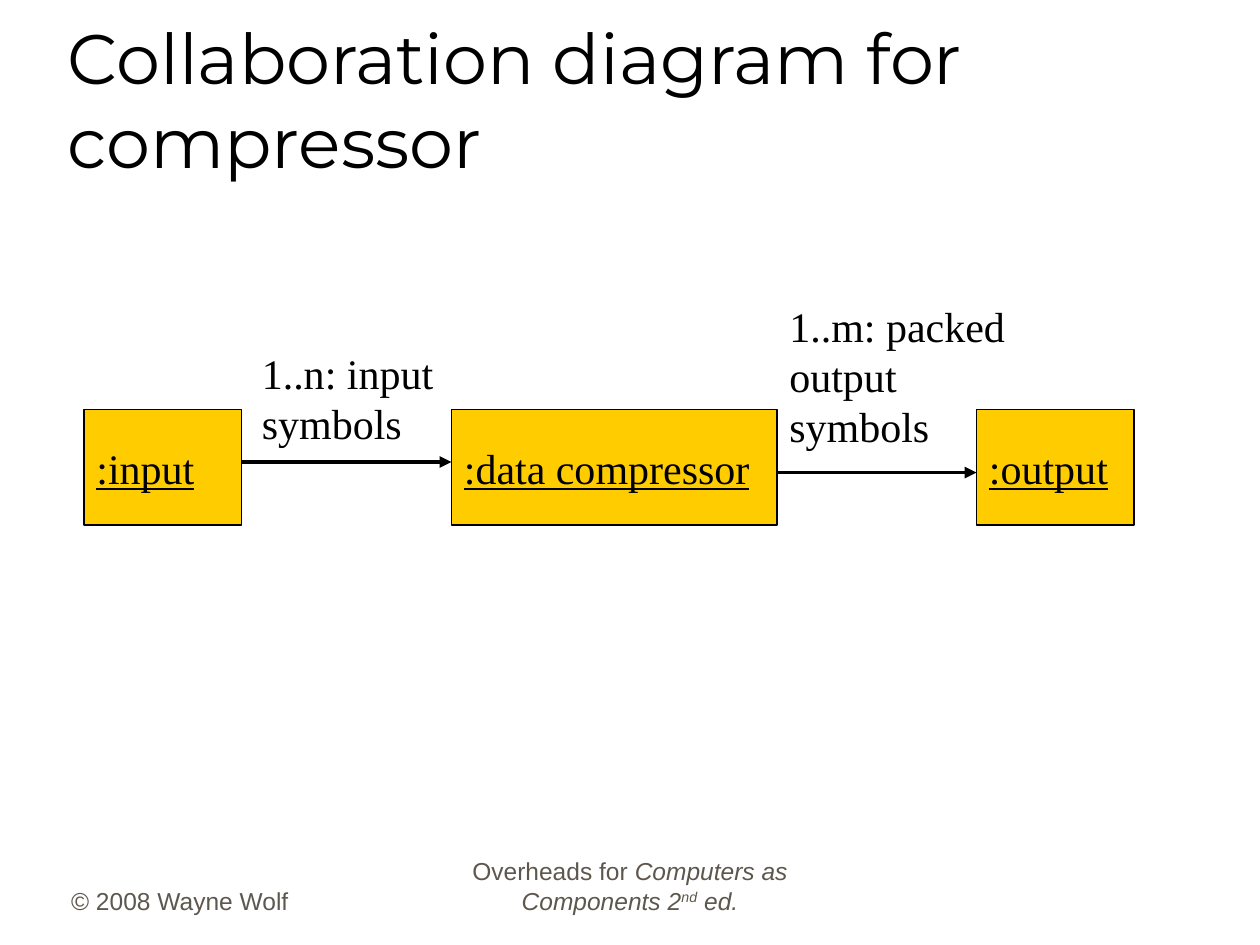
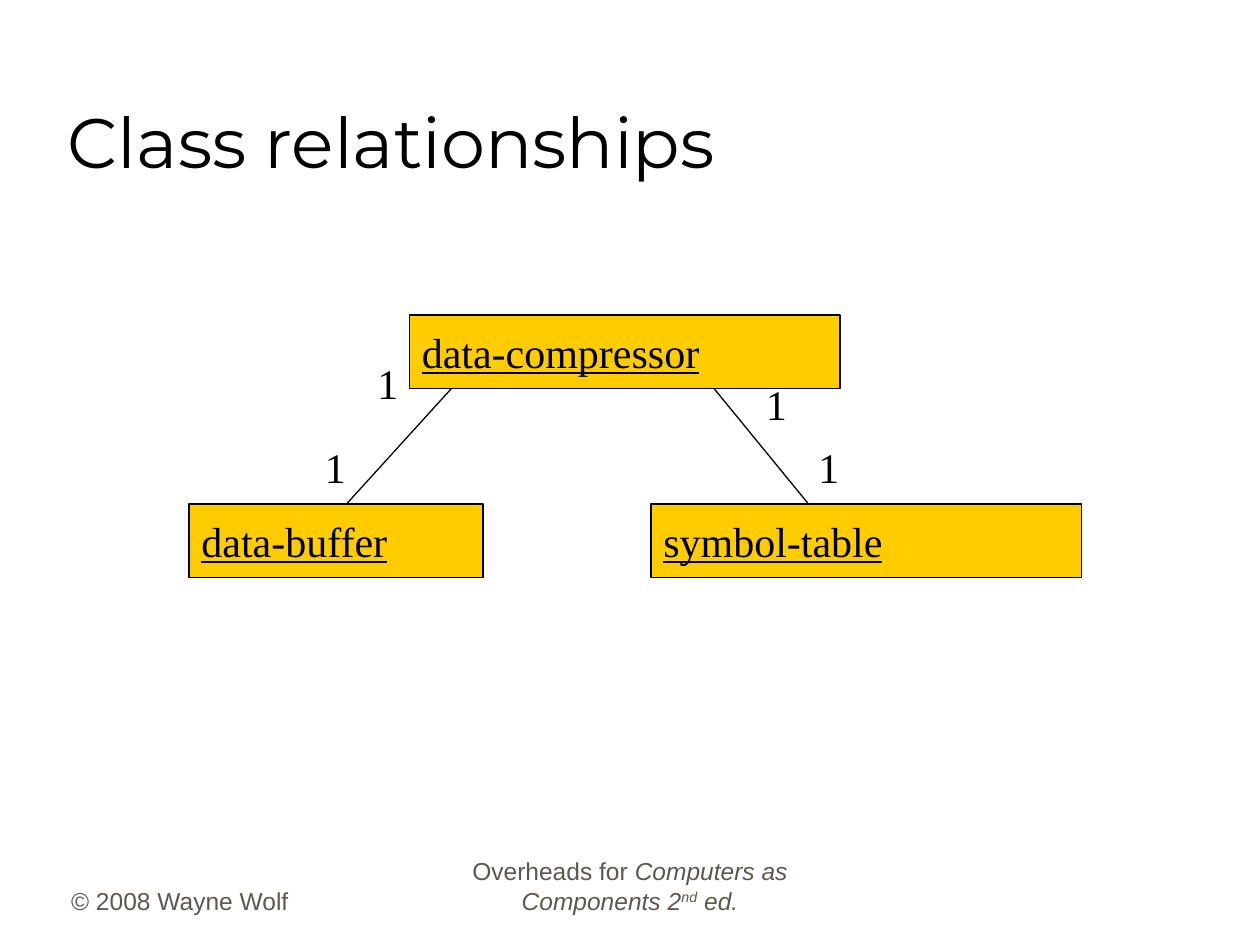
"""Build two UML slides about a data compressor on a grid of twelfths of an inch."""
from lxml.etree import SubElement
from pptx import Presentation
from pptx.dml.color import RGBColor
from pptx.enum.shapes import MSO_CONNECTOR, MSO_SHAPE
from pptx.enum.text import MSO_ANCHOR, MSO_AUTO_SIZE, PP_ALIGN
from pptx.oxml.ns import qn
from pptx.util import Inches, Pt

BLACK, GOLD, GREY = "000000", "FFCC00", "5E574E"
TITLE_FONT, FOOTER_FONT, DIAGRAM_FONT = "Montserrat", "Arial", "Times New Roman"
COLS, ROWS = 120, 90


def rgb(color):
    """Turn a hex string into a colour."""
    return RGBColor.from_string(color)


def grid(*units):
    """Turn grid units into lengths."""
    return [Inches(u / 12) for u in units]


def style(tf, font, size, color=BLACK, underline=None, align=PP_ALIGN.LEFT):
    """Format every paragraph and run of a text frame."""
    for p in tf.paragraphs:
        p.alignment = align
        for r in p.runs:
            r.font.name, r.font.size = font, Pt(size)
            r.font.color.rgb = rgb(color)
            r.font.underline = underline


def add_footer(slide, left, width, parts, align):
    """Add a footer from (text, italic, superscript) parts."""
    tf = slide.shapes.add_textbox(*grid(left, 81.75, width, 6)).text_frame
    tf.word_wrap = True
    tf.vertical_anchor = MSO_ANCHOR.BOTTOM
    for text, italic, superscript in parts:
        r = tf.paragraphs[0].add_run()
        r.text = text
        r.font.italic = italic
        if superscript:
            r.font._element.set("baseline", "30000")
    style(tf, FOOTER_FONT, 14, GREY, align=align)


def add_slide(prs, title):
    """Add a slide with its title and the shared footers."""
    slide = prs.slides.add_slide(prs.slide_layouts[5])
    sp = slide.shapes.title
    sp.left, sp.top, sp.width, sp.height = grid(5.25, 3, 102, 15)
    tf = sp.text_frame
    tf.text = title
    tf.word_wrap = True
    tf.auto_size = MSO_AUTO_SIZE.NONE
    tf.vertical_anchor = MSO_ANCHOR.BOTTOM
    style(tf, TITLE_FONT, 40)
    add_footer(slide, 5.6, 25, [("© 2008 Wayne Wolf", False, False)], PP_ALIGN.LEFT)
    add_footer(slide, 41, 38, [
        ("Overheads for ", False, False),
        ("Computers as Components 2", True, False),
        ("nd", True, True),
        (" ed.", True, False),
    ], PP_ALIGN.CENTER)
    return slide


def add_box(slide, text, left, top, width, height):
    """Add a gold box with an underlined name."""
    sp = slide.shapes.add_shape(MSO_SHAPE.RECTANGLE, *grid(left, top, width, height))
    sp.shadow.inherit = False
    sp.fill.solid()
    sp.fill.fore_color.rgb = rgb(GOLD)
    sp.line.color.rgb = rgb(BLACK)
    sp.line.width = Pt(0.75)
    tf = sp.text_frame
    tf.text = text
    tf.word_wrap = False
    tf.vertical_anchor = MSO_ANCHOR.MIDDLE
    style(tf, DIAGRAM_FONT, 24, underline=True)


def add_line(slide, x1, y1, x2, y2, width=0.75, arrow=False):
    """Add a straight line, with an arrowhead at its end if asked."""
    line = slide.shapes.add_connector(MSO_CONNECTOR.STRAIGHT, *grid(x1, y1, x2, y2))
    line.line.color.rgb = rgb(BLACK)
    line.line.width = Pt(width)
    if arrow:
        SubElement(line.line._get_or_add_ln(), qn("a:tailEnd"), type="triangle")
    SubElement(line._element.spPr, qn("a:effectLst"))


def add_label(slide, text, left, top, width, height):
    """Add a plain label that keeps its own line breaks."""
    tf = slide.shapes.add_textbox(*grid(left, top, width, height)).text_frame
    tf.text = text
    tf.word_wrap = False
    tf.auto_size = MSO_AUTO_SIZE.SHAPE_TO_FIT_TEXT
    style(tf, DIAGRAM_FONT, 24)


def build_collaboration(prs):
    """Build the collaboration diagram."""
    slide = add_slide(prs, "Collaboration diagram for compressor")
    for text, left, width in ((":input", 8, 15), (":data compressor", 43, 31), (":output", 93, 15)):
        add_box(slide, text, left, 39, width, 11)
    for start, end, y in ((23, 43, 44), (74, 93, 45)):
        add_line(slide, start, y, end, y, 2.25, arrow=True)
    add_label(slide, "1..n: input\nsymbols", 23.75, 32.5, 18.75, 10.8)
    add_label(slide, "1..m: packed\noutput\nsymbols", 74, 28, 23, 15.6)


def build_classes(prs):
    """Build the class diagram."""
    slide = add_slide(prs, "Class relationships")
    for text, left, top, width in (
        ("symbol-table", 62, 48, 41),
        ("data-compressor", 39, 30, 41),
        ("data-buffer", 18, 48, 28),
    ):
        add_box(slide, text, left, top, width, 7)
    for start, end in ((43, 33), (68, 77)):
        add_line(slide, start, 37, end, 48)
    for left, top in ((29.75, 41.5), (34.75, 33.5), (76.75, 41.5), (71.75, 35.5)):
        add_label(slide, "1", left, top, 4.5, 6)


def main():
    """Build and save the presentation."""
    prs = Presentation()
    prs.slide_width, prs.slide_height = grid(COLS, ROWS)
    build_collaboration(prs)
    build_classes(prs)
    prs.save("out.pptx")


if __name__ == "__main__":
    main()
